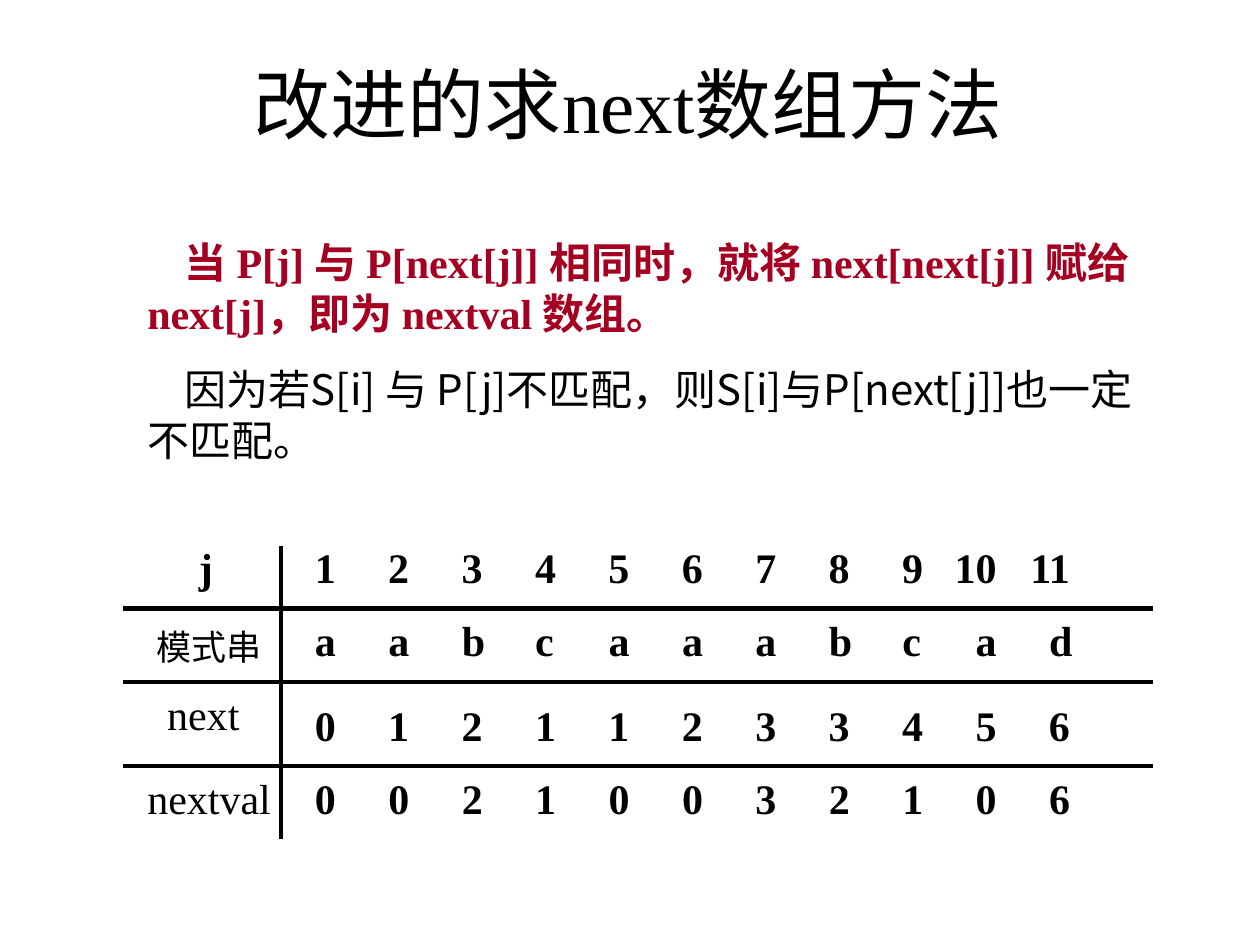
from dataclasses import dataclass

from lxml.etree import SubElement
from pptx import Presentation
from pptx.dml.color import RGBColor
from pptx.enum.shapes import MSO_CONNECTOR
from pptx.enum.text import MSO_ANCHOR, MSO_AUTO_SIZE, PP_ALIGN
from pptx.oxml.ns import qn
from pptx.slide import Slide
from pptx.text.text import _Paragraph as Paragraph
from pptx.util import Cm, Pt


@dataclass(frozen=True)
class Theme:
    latin: str = "Times New Roman"
    chinese: str = "Noto Sans CJK SC"
    ink: RGBColor = RGBColor(0x00, 0x00, 0x00)
    accent: RGBColor = RGBColor(0xA5, 0x00, 0x21)
    title_size: Pt = Pt(44)
    body_size: Pt = Pt(24)
    small_size: Pt = Pt(20)
    paragraph_gap: Pt = Pt(15)
    rule_width: Pt = Pt(2.5)


THEME = Theme()


@dataclass(frozen=True)
class Box:
    left: float
    top: float
    width: float
    height: float


@dataclass(frozen=True)
class Run:
    text: str
    font: str = THEME.latin
    size: Pt = THEME.body_size
    bold: bool = False
    color: RGBColor = THEME.ink


@dataclass(frozen=True)
class Label:
    run: Run
    box: Box


@dataclass(frozen=True)
class ValueRow:
    values: str
    top: float
    tab_alignment: str


@dataclass(frozen=True)
class Rule:
    start: tuple[float, float]
    end: tuple[float, float]


COLUMN_LEFT = 6.1
COLUMN_PITCH = 1.48
DIGIT_WIDTH = 0.42
ROW_HEIGHT = 1.27
NEXTVAL_TOP = 15.44
TABLE_LEFT, TABLE_RIGHT = 2.48, 23.25

TITLE = Run("改进的求next数组方法", size=THEME.title_size)
STATEMENT = [
    ("当 ", THEME.chinese),
    ("P[j] ", THEME.latin),
    ("与 ", THEME.chinese),
    ("P[next[j]] ", THEME.latin),
    ("相同时，就将 ", THEME.chinese),
    ("next[next[j]] ", THEME.latin),
    ("赋给 ", THEME.chinese),
    ("next[j]，即为 nextval 数组", THEME.latin),
    ("。", THEME.chinese),
]
REASON = Run("因为若S[i] 与 P[j]不匹配，则S[i]与P[next[j]]也一定不匹配。", THEME.chinese)

LABELS = [
    Label(Run("j", bold=True), Box(3.76, 10.8, 1.06, ROW_HEIGHT)),
    Label(Run("模式串", size=THEME.small_size), Box(2.91, 12.48, 3.18, 1.11)),
    Label(Run("next"), Box(3.12, 13.75, 3.18, ROW_HEIGHT)),
    Label(Run("nextval"), Box(2.72, NEXTVAL_TOP, 3.18, ROW_HEIGHT)),
]
VALUE_ROWS = [
    ValueRow("1 2 3 4 5 6 7 8 9 10 11", 10.8, "r"),
    ValueRow("a a b c a a a b c a d", 12.27, "l"),
    ValueRow("0 1 2 1 1 2 3 3 4 5 6", 13.97, "r"),
]
NEXTVAL = "00210032106"
RULES = [Rule((TABLE_LEFT, y), (TABLE_RIGHT, y)) for y in (12.27, 13.75, 15.44)]
RULES.append(Rule((5.67, 11), (5.67, 16.92)))


def add_runs(paragraph: Paragraph, runs: list[Run]) -> None:
    for item in runs:
        run = paragraph.add_run()
        run.text = item.text
        font_format = {"name": item.font, "size": item.size, "bold": item.bold}
        for name, value in font_format.items():
            setattr(run.font, name, value)
        run.font.color.rgb = item.color
        east_asian = SubElement(run.font._element, qn("a:ea"))
        east_asian.set("typeface", THEME.chinese)


def add_text(slide: Slide, box: Box, paragraphs: list[list[Run]], **frame_format) -> list[Paragraph]:
    """Add a wrapping text box and return its paragraphs."""
    shape = slide.shapes.add_textbox(Cm(box.left), Cm(box.top), Cm(box.width), Cm(box.height))
    frame = shape.text_frame
    settings = {"word_wrap": True, "auto_size": MSO_AUTO_SIZE.SHAPE_TO_FIT_TEXT} | frame_format
    for name, value in settings.items():
        setattr(frame, name, value)
    for index, runs in enumerate(paragraphs):
        paragraph = frame.add_paragraph() if index else frame.paragraphs[0]
        if index:
            paragraph.space_before = THEME.paragraph_gap
        add_runs(paragraph, runs)
    return list(frame.paragraphs)


def add_value_row(slide: Slide, row: ValueRow) -> None:
    """Add one row of values, spread over the columns by tab stops."""
    values = row.values.split()
    box = Box(COLUMN_LEFT, row.top, 17.78, ROW_HEIGHT)
    paragraph = add_text(slide, box, [[Run("\t".join(values), bold=True)]])[0]
    tab_list = SubElement(paragraph._p.get_or_add_pPr(), qn("a:tabLst"))
    offset = DIGIT_WIDTH if row.tab_alignment == "r" else 0
    for column in range(1, len(values)):
        position = Cm(column * COLUMN_PITCH + offset)
        SubElement(tab_list, qn("a:tab"), pos=str(position), algn=row.tab_alignment)


def add_rule(slide: Slide, rule: Rule) -> None:
    ends = [Cm(value) for value in (*rule.start, *rule.end)]
    connector = slide.shapes.add_connector(MSO_CONNECTOR.STRAIGHT, *ends)
    connector.line.width = THEME.rule_width
    connector.line.color.rgb = THEME.ink
    SubElement(connector._element.spPr, qn("a:effectLst"))


def main() -> None:
    presentation = Presentation()
    presentation.slide_width, presentation.slide_height = Cm(25.4), Cm(19.05)
    slide = presentation.slides.add_slide(presentation.slide_layouts[6])

    statement = [Run(text, font, bold=True, color=THEME.accent) for text, font in STATEMENT]
    for paragraph in add_text(slide, Box(2.72, 4.65, 20.96, 4.85), [statement, [REASON]]):
        paragraph._p.get_or_add_pPr().set("indent", str(Cm(0.76)))

    for column, value in enumerate(NEXTVAL):
        box = Box(COLUMN_LEFT + column * COLUMN_PITCH, NEXTVAL_TOP, 1.2, ROW_HEIGHT)
        add_text(slide, box, [[Run(value, bold=True)]])
    for label in LABELS:
        add_text(slide, label.box, [[label.run]])
    for row in VALUE_ROWS:
        add_value_row(slide, row)
    for rule in RULES:
        add_rule(slide, rule)

    title = add_text(slide, Box(1.85, 1, 21.64, 2.13), [[TITLE]],
                     auto_size=MSO_AUTO_SIZE.NONE, vertical_anchor=MSO_ANCHOR.BOTTOM)
    title[0].alignment = PP_ALIGN.CENTER

    presentation.save("out.pptx")


if __name__ == "__main__":
    main()
